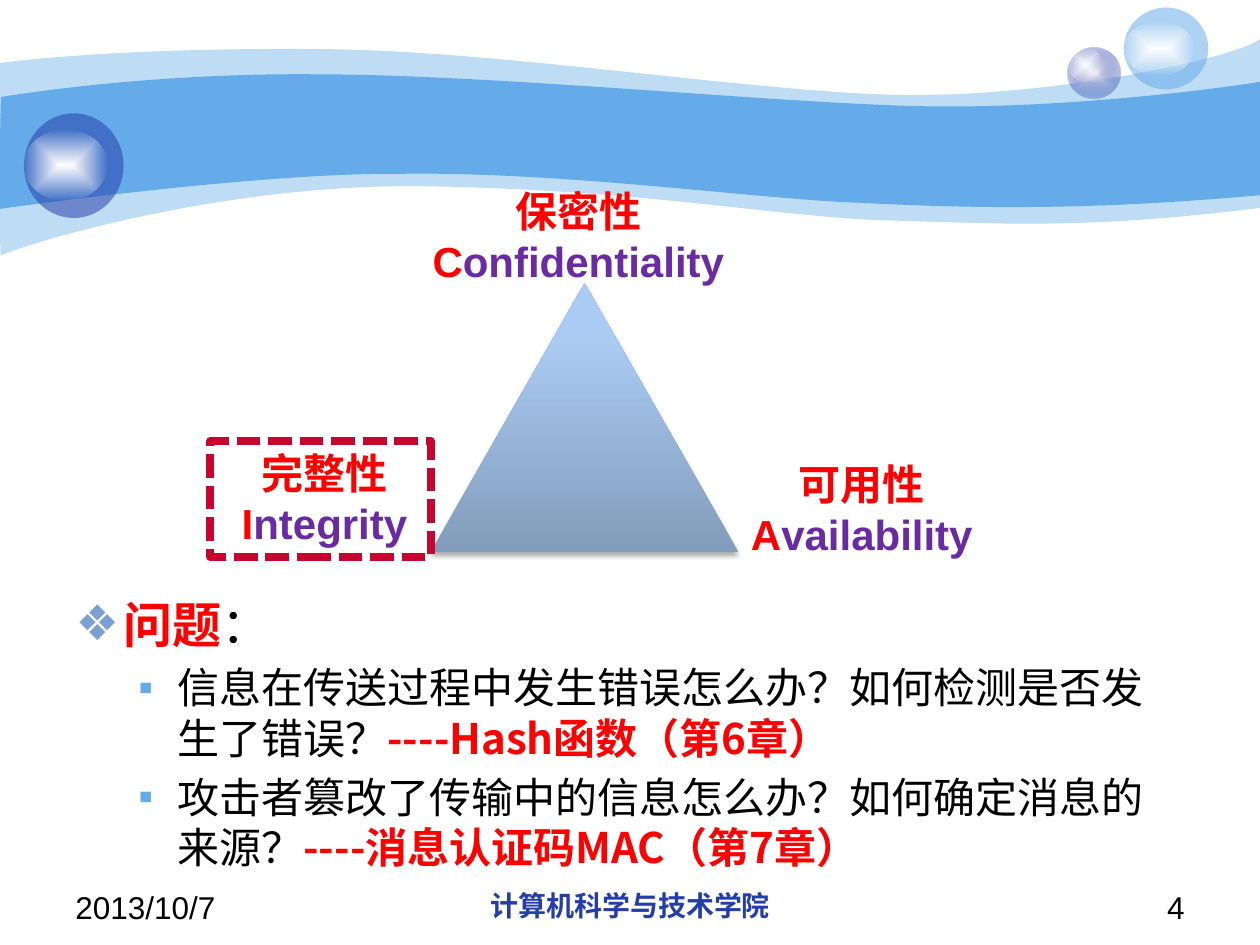
"""Slide on the confidentiality, integrity and availability triangle."""
from lxml import etree
from pptx import Presentation
from pptx import util as u
from pptx.dml.color import RGBColor
from pptx.enum import dml, shapes, text
from pptx.oxml import parse_xml
from pptx.oxml.ns import qn

Inches, Pt = u.Inches, u.Pt
NS = 'xmlns:a="http://schemas.openxmlformats.org/drawingml/2006/main"'
COLORS = {"sky": "65AAE9", "navy": "233DA9", "mist": "E1E2ED", "white": "FFFFFF",
          "red": "FF0000", "purple": "692AA2", "black": "000000", "crimson": "C6062F",
          "diamond": "7DA0D3", "slate": "839CBB", "pale": "AACBF3", "paler": "A9CBF5"}


def paint(shape, stops, direction=""):
    """Fill a shape with (position, colour, opacity) stops and drop its outline."""
    shape.shadow.inherit = False
    shape.line.fill.background()
    tints = [f'<a:srgbClr val="{COLORS[name]}"><a:alpha val="{alpha * 1000}"/></a:srgbClr>'
             for _, name, alpha in stops]
    if len(stops) == 1:
        xml = f'<a:solidFill {NS}>{tints[0]}</a:solidFill>'
    else:
        marks = "".join(f'<a:gs pos="{stop[0] * 1000}">{tint}</a:gs>'
                        for stop, tint in zip(stops, tints))
        xml = f'<a:gradFill {NS} rotWithShape="1"><a:gsLst>{marks}</a:gsLst>{direction}</a:gradFill>'
    shape._element.spPr.find(qn("a:ln")).addprevious(parse_xml(xml))


def write(para, runs, size, font):
    """Add (text, colour, bold) runs to a paragraph."""
    for words, color, bold in runs:
        span = para.add_run()
        span.text = words
        span.font.color.rgb = RGBColor.from_string(COLORS[color])
        span.font.bold = bold
        if font != "Arial":
            etree.SubElement(span._r.get_or_add_rPr(), qn("a:ea")).set("typeface", font)
    para.font.size = Pt(size)
    para.font.name = font


deck = Presentation()
deck.slide_width, deck.slide_height = Inches(10), Inches(7.5)
page = deck.slides.add_slide(deck.slide_layouts[6])

waves = [
    (41, (0, 0.5), [
        [(0.24, 0.47), (1.07, 0.38), (2.47, 0.39)], [(3.86, 0.39), (5.75, 0.7), (6.99, 0.75)],
        [(8.22, 0.8), (9.8, 0.47), (10, 0.31)], [(10, 1.65)],
        [(8.58, 1.83), (7.87, 1.77), (7.05, 1.75)], [(6.22, 1.73), (5.15, 1.51), (3.43, 1.48)],
        [(1.72, 1.44), (0.04, 1.99), (0.01, 2.03)], [(-0.01, 2.08), (0, 0.75), (0, 0.5)]]),
    (100, (0.01, 0.77), [
        [(0.02, 0.77), (1.1, 0.58), (2.48, 0.59)], [(3.86, 0.59), (5.95, 0.8), (7.18, 0.84)],
        [(8.41, 0.88), (9.76, 0.69), (10, 0.65)], [(10, 1.55)],
        [(8.53, 1.68), (7.65, 1.65), (6.82, 1.61)], [(5.99, 1.58), (4.47, 1.36), (3.17, 1.38)],
        [(2.03, 1.37), (-0.02, 1.66), (-0.01, 1.66)], [(0, 1.66), (0, 0.77), (0.01, 0.77)]]),
]
for alpha, start, segments in waves:
    builder = page.shapes.build_freeform(*map(Inches, start))
    builder.add_line_segments([tuple(map(Inches, point)) for segment in segments
                               for point in segment], close=True)
    wave = builder.convert_to_shape()
    lines = iter(list(wave._element.iter(qn("a:lnTo"))))
    for segment in segments:
        first, *others = [next(lines) for _ in segment]
        if others:
            first.tag = qn("a:cubicBezTo")
        for other in others:
            first.append(other[0])
            other.getparent().remove(other)
    paint(wave, [(0, "sky", alpha)])

CENTRE = '<a:path path="shape"><a:fillToRect l="50000" t="50000" r="50000" b="50000"/></a:path>'
GLOW = [(0, "white", 100), (100, "white", 0)]
bubbles = [
    (8.47, 0.38, 0.42, 0.4, [(0, "mist", 100), (100, "navy", 31)]),
    (8.47, 0.38, 0.28, 0.27, GLOW),
    (8.92, 0.06, 0.67, 0.65, [(0, "sky", 53)]),
    (8.92, 0.17, 0.56, 0.43, GLOW),
    (0.19, 0.9, 0.79, 0.83, [(0, "navy", 53)]),
    (0.19, 1.03, 0.66, 0.56, GLOW),
]
for *place, stops in bubbles:
    bubble = page.shapes.add_shape(shapes.MSO_SHAPE.OVAL, *map(Inches, place))
    paint(bubble, stops, CENTRE)

body = page.shapes.add_textbox(Inches(0.5), Inches(4.67), Inches(9), Inches(2.25)).text_frame
body.word_wrap = True
items = [
    (28, 0.38, 0.38, "❖", "diamond", [("问题", "red", True), ("：", "black", False)]),
    (24, 0.81, 0.31, "▪", "sky", [
        ("信息在传送过程中发生错误怎么办？如何检测是否发生了错误？", "black", False),
        ("----Hash函数（第6章）", "red", True)]),
    (24, 0.81, 0.31, "▪", "sky", [
        ("攻击者篡改了传输中的信息怎么办？如何确定消息的来源？", "black", False),
        ("----消息认证码MAC（第7章）", "red", True)]),
]
for index, (size, margin, hang, mark, tint, runs) in enumerate(items):
    para = body.add_paragraph() if index else body.paragraphs[0]
    props = para._p.get_or_add_pPr()
    props.set("marL", str(Inches(margin)))
    props.set("indent", str(-Inches(hang)))
    color = etree.SubElement(props, qn("a:buClr"))
    etree.SubElement(color, qn("a:srgbClr")).set("val", COLORS[tint])
    etree.SubElement(props, qn("a:buFont")).set("typeface", "Arial")
    etree.SubElement(props, qn("a:buChar")).set("char", mark)
    if index:
        para.level = 1
        para.space_before = Pt(size * 0.2)
    write(para, runs, size, "Noto Sans CJK SC")

ALIGN = text.PP_ALIGN
footers = [
    (0.5, 2.33, "2013/10/7", 18, "black", False, ALIGN.LEFT),
    (3.42, 3.17, "计算机科学与技术学院", 16, "navy", True, ALIGN.CENTER),
    (7.17, 2.33, "4", 18, "black", False, ALIGN.RIGHT),
]
for left, width, words, size, color, bold, align in footers:
    frame = page.shapes.add_textbox(Inches(left), Inches(7), Inches(width), Inches(0.35)).text_frame
    frame.word_wrap = True
    frame.paragraphs[0].alignment = align
    write(frame.paragraphs[0], [(words, color, bold)], size, "Arial")

triangle = page.shapes.add_shape(shapes.MSO_SHAPE.ISOSCELES_TRIANGLE,
                                 Inches(3.42), Inches(2.25), Inches(2.44), Inches(2.13))
paint(triangle, [(0, "slate", 100), (80, "pale", 100), (100, "paler", 100)],
      '<a:lin ang="16200000" scaled="0"/>')
triangle._element.spPr.find(qn("a:effectLst")).append(parse_xml(
    f'<a:outerShdw {NS} blurRad="{Pt(3.1)}" dist="{Pt(1.8)}" dir="5400000" rotWithShape="0">'
    '<a:srgbClr val="000000"><a:alpha val="35000"/></a:srgbClr></a:outerShdw>'))

labels = [
    (5.78, 3.59, 2.12, "可用性", "Availability"),
    (1.67, 3.5, 1.81, "完整性", "Integrity"),
    (3.25, 1.42, 2.68, "保密性", "Confidentiality"),
]
for left, top, width, chinese, english in labels:
    frame = page.shapes.add_textbox(Inches(left), Inches(top), Inches(width), Inches(0.91)).text_frame
    frame.word_wrap = True
    lines = [[(chinese, "red", True)], [(english[0], "red", True), (english[1:], "purple", True)]]
    for para, runs in zip([frame.paragraphs[0], frame.add_paragraph()], lines):
        para.alignment = ALIGN.CENTER
        write(para, runs, 24, "Arial")

highlight = page.shapes.add_shape(shapes.MSO_SHAPE.RECTANGLE,
                                  Inches(1.67), Inches(3.5), Inches(1.75), Inches(0.92))
highlight.shadow.inherit = False
highlight.fill.background()
highlight.line.color.rgb = RGBColor.from_string(COLORS["crimson"])
highlight.line.width = Pt(4.5)
highlight.line.dash_style = dml.MSO_LINE.SQUARE_DOT

deck.save("out.pptx")
